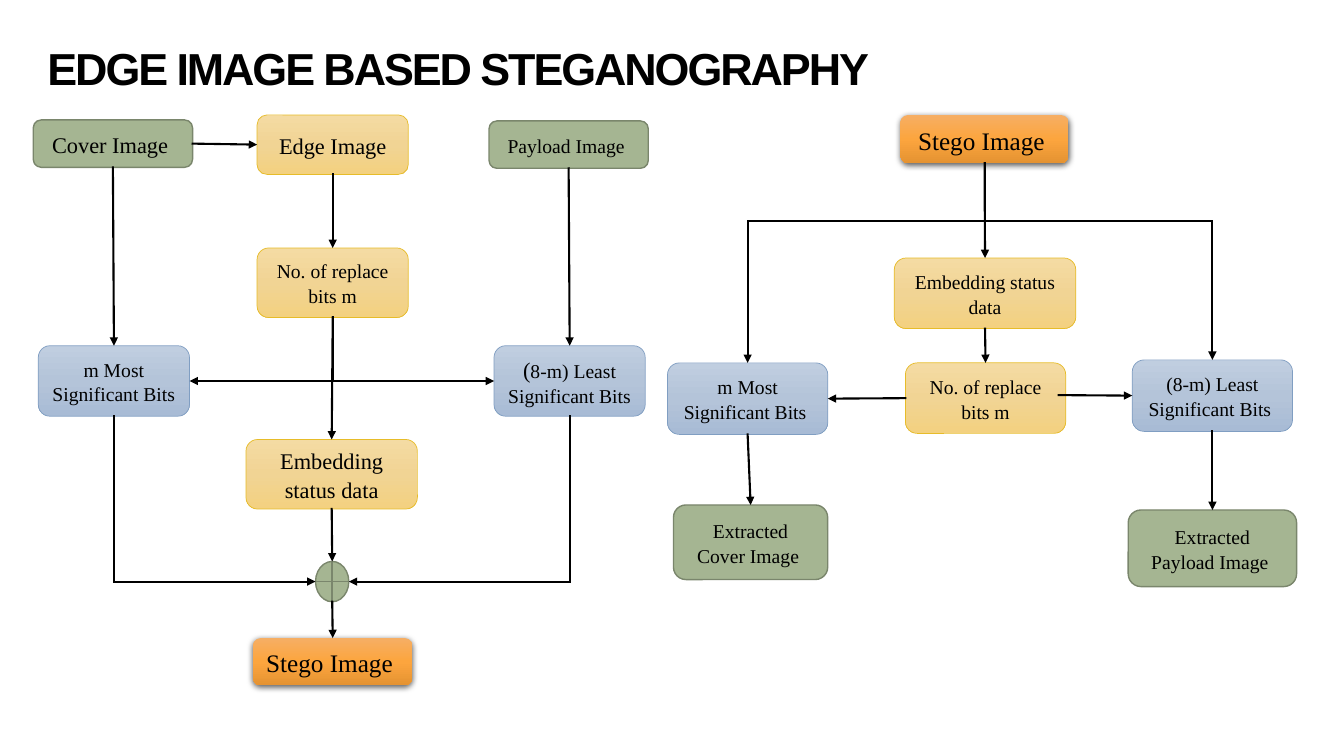
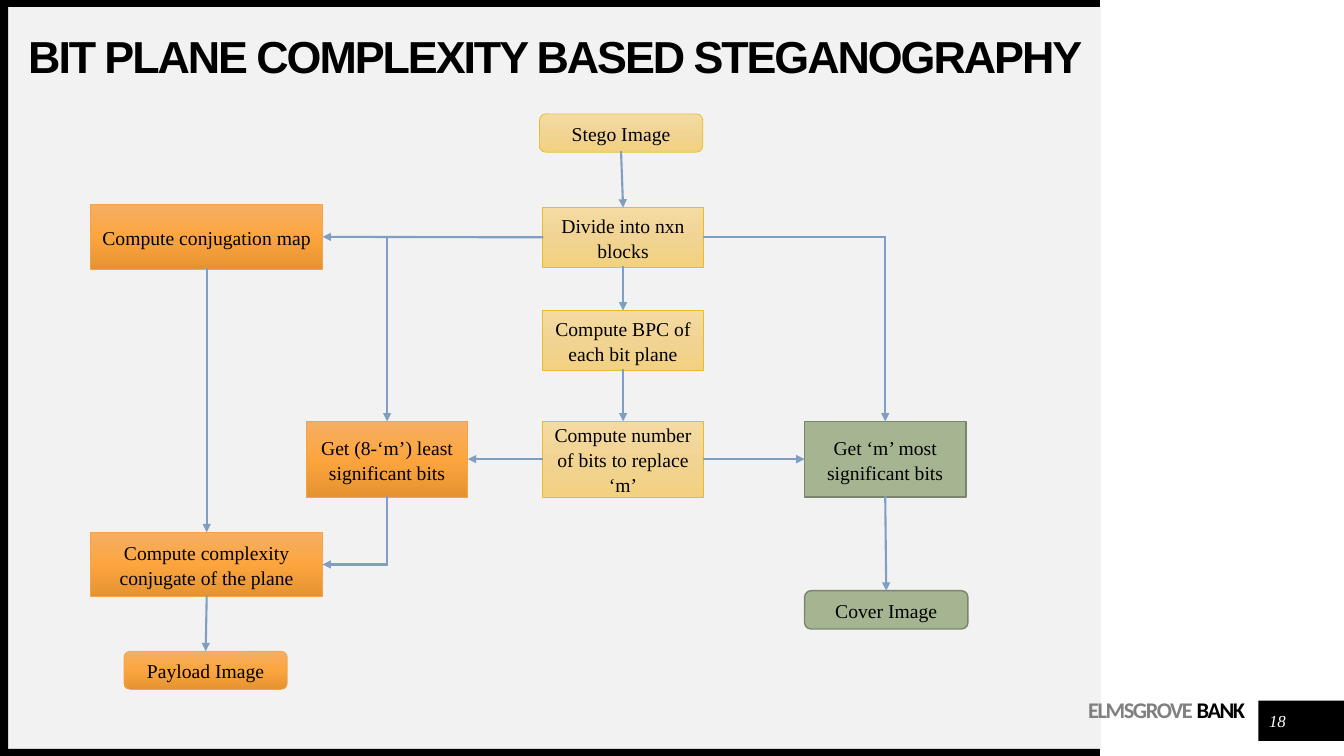
from copy import deepcopy
from dataclasses import dataclass
from typing import NamedTuple, Optional, Union

from lxml import etree
from pptx import Presentation
from pptx.dml.color import RGBColor
from pptx.enum.shapes import MSO_CONNECTOR, MSO_SHAPE
from pptx.enum.text import MSO_ANCHOR, MSO_AUTO_SIZE, PP_ALIGN
from pptx.oxml.ns import qn
from pptx.util import Inches, Pt

ROUNDED = MSO_SHAPE.FLOWCHART_ALTERNATE_PROCESS
RECT = MSO_SHAPE.RECTANGLE
MERGE = MSO_SHAPE.FLOWCHART_OR
STRAIGHT = MSO_CONNECTOR.STRAIGHT
MIDDLE = MSO_ANCHOR.MIDDLE
LEFT, CENTER, RIGHT = PP_ALIGN.LEFT, PP_ALIGN.CENTER, PP_ALIGN.RIGHT
SIDE_TOP, SIDE_LEFT, SIDE_BOTTOM, SIDE_RIGHT = range(4)


class Style(NamedTuple):
    fills: tuple  # one colour, or three gradient stops
    line: Optional[str] = None
    line_width: float = 0.5
    raised: bool = False


@dataclass(frozen=True)
class Theme:
    black: str = "000000"
    white: str = "FFFFFF"
    grey: str = "808080"
    panel: str = "F2F2F2"
    steel: str = "809EC2"
    heading_font: str = "Arial"
    body_font: str = "Times New Roman"
    brand_font: str = "Calibri"
    title_size: int = 32
    large: int = 18
    medium: int = 16
    body: int = 14
    small: int = 12
    green: Style = Style(("A5B592",), "7A866C", 1)
    blue: Style = Style(("C0CEE0", "B4C4D9", "A8BBD5"), "809EC2")
    yellow: Style = Style(("F4DBA3", "F1D494", "F3D180"), "E7BC29")
    orange: Style = Style(("F6AE64", "FCA53E", "E59332"), "F3A447")
    stego: Style = Style(("F6AE64", "FCA53E", "E59332"), raised=True)


THEME = Theme()


class Box(NamedTuple):
    key: str
    text: str
    at: tuple
    style: Style
    size: int = THEME.body
    kind: MSO_SHAPE = ROUNDED
    lead: str = ""  # opening character in the medium size


class Port(NamedTuple):
    key: str
    side: int


class Point(NamedTuple):
    x: float
    y: float


class Arrow(NamedTuple):
    start: Union[Port, Point]
    end: Port
    bent: bool = False
    level: Optional[float] = None  # height of a shared crossbar


def place(at: tuple) -> list:
    return [Inches(value) for value in at]


def set_all(target, values: dict) -> None:
    for name, value in values.items():
        setattr(target, name, value)


def add_run(paragraph, text: str, size: int, color: str, font: str = THEME.body_font,
            spacing: int = 0, **extra) -> None:
    run = paragraph.add_run()
    run.text = text
    set_all(run.font, {"name": font, "size": Pt(size), **extra})
    run.font.color.rgb = RGBColor.from_string(color)
    if spacing:
        run.font._element.set("spc", str(spacing))


def add_band(slide, at: tuple, color: str) -> None:
    band = slide.shapes.add_shape(RECT, *place(at))
    band.shadow.inherit = False
    band.fill.solid()
    band.fill.fore_color.rgb = RGBColor.from_string(color)
    band.line.fill.background()


def add_title(slide, text: str, at: tuple) -> None:
    title = slide.shapes.title
    set_all(title, dict(zip(("left", "top", "width", "height"), place(at))))
    frame = title.text_frame
    set_all(frame, {"margin_left": 0, "margin_top": 0, "margin_right": 0, "margin_bottom": 0,
                    "vertical_anchor": MIDDLE, "auto_size": MSO_AUTO_SIZE.NONE, "word_wrap": True})
    heading = frame.paragraphs[0]
    set_all(heading, {"alignment": LEFT, "line_spacing": 0.9})
    add_run(heading, text, THEME.title_size, THEME.black, THEME.heading_font, -150, bold=True)
    title.element.getparent().append(title.element)  # in front of the bands


def add_label(slide, at: tuple, margin_top: float, anchor, paragraph_format: dict):
    label = slide.shapes.add_textbox(*place(at))
    set_all(label.text_frame, {"margin_left": 0, "margin_top": Inches(margin_top), "margin_right": 0,
                               "margin_bottom": 0, "vertical_anchor": anchor, "word_wrap": True})
    paragraph = label.text_frame.paragraphs[0]
    set_all(paragraph, paragraph_format)
    return paragraph


def paint(shape, style: Style) -> None:
    shape.shadow.inherit = False
    properties = shape.element.spPr
    if len(style.fills) == 1:
        shape.fill.solid()
        shape.fill.fore_color.rgb = RGBColor.from_string(style.fills[0])
    else:
        shape.fill.gradient()
        shape.fill.gradient_angle = 270
        stops = properties.find(qn("a:gradFill")).find(qn("a:gsLst"))
        stops.insert(1, deepcopy(stops[0]))
        for stop, position, color in zip(shape.fill.gradient_stops, (0, 0.5, 1), style.fills):
            stop.position = position
            stop.color.rgb = RGBColor.from_string(color)
    if style.line:
        shape.line.color.rgb = RGBColor.from_string(style.line)
        shape.line.width = Pt(style.line_width)
    else:
        shape.line.fill.background()
    if style.raised:
        shadow = etree.SubElement(properties.find(qn("a:effectLst")), qn("a:outerShdw"),
                                  blurRad=str(Pt(4.5)), dist=str(Pt(1.5)), dir="5400000",
                                  rotWithShape="0")
        color = etree.SubElement(shadow, qn("a:srgbClr"), val=THEME.black)
        etree.SubElement(color, qn("a:alpha"), val="63000")


def add_box(slide, box: Box):
    shape = slide.shapes.add_shape(box.kind, *place(box.at))
    paint(shape, box.style)
    if box.text:
        set_all(shape.text_frame, {"vertical_anchor": MIDDLE, "word_wrap": True})
        paragraph = shape.text_frame.paragraphs[0]
        set_all(paragraph, {"alignment": CENTER, "line_spacing": 1.06, "space_after": Pt(8)})
        if box.lead:
            add_run(paragraph, box.lead, THEME.medium, THEME.black)
        add_run(paragraph, box.text, box.size, THEME.black)
    return shape


def locate(spot: Union[Port, Point], shapes: dict) -> tuple:
    if isinstance(spot, Point):
        return Inches(spot.x), Inches(spot.y)
    shape = shapes[spot.key]
    x, y = shape.left + shape.width // 2, shape.top + shape.height // 2
    return {SIDE_TOP: (x, shape.top), SIDE_LEFT: (shape.left, y),
            SIDE_BOTTOM: (x, shape.top + shape.height),
            SIDE_RIGHT: (shape.left + shape.width, y)}[spot.side]


def can_join(spot: Union[Port, Point], shapes: dict) -> bool:
    return isinstance(spot, Port) and shapes[spot.key].auto_shape_type != MERGE


def add_arrow(slide, arrow: Arrow, shapes: dict, color: str) -> None:
    start, end = locate(arrow.start, shapes), locate(arrow.end, shapes)
    corners = []
    if arrow.level is not None:
        corners = [(x, Inches(arrow.level)) for x in (start[0], end[0])]
    elif arrow.bent:
        vertical_first = arrow.start.side in (SIDE_TOP, SIDE_BOTTOM)
        corners = [(start[0], end[1]) if vertical_first else (end[0], start[1])]
    points = [start, *corners, end]
    last = len(points) - 2
    for index, (near, far) in enumerate(zip(points, points[1:])):
        segment = slide.shapes.add_connector(STRAIGHT, *near, *far)
        if index == 0 and can_join(arrow.start, shapes):
            segment.begin_connect(shapes[arrow.start.key], arrow.start.side)
        if index == last and can_join(arrow.end, shapes):
            segment.end_connect(shapes[arrow.end.key], arrow.end.side)
        segment.line.color.rgb = RGBColor.from_string(color)
        segment.line.width = Pt(1.5)
        properties = segment.element.spPr
        stroke = properties.find(qn("a:ln"))
        stroke.set("cap", "sq")
        if index == last:
            etree.SubElement(stroke, qn("a:tailEnd"), type="triangle")
        etree.SubElement(properties, qn("a:effectLst"))


def add_flow(slide, boxes: list, arrows: list, color: str) -> None:
    shapes = {box.key: add_box(slide, box) for box in boxes}
    for arrow in arrows:
        add_arrow(slide, arrow, shapes, color)


def down(start: str, end: str) -> Arrow:
    return Arrow(Port(start, SIDE_BOTTOM), Port(end, SIDE_TOP))


def build_edge_slide(slide) -> None:
    t = THEME
    add_title(slide, "EDGE IMAGE BASED STEGANOGRAPHY", (0.47, 0.47, 10.06, 0.47))
    boxes = [
        # Embedding
        Box("cover", "Cover Image ", (0.33, 1.19, 1.58, 0.47), t.green, t.medium),
        Box("payload", "Payload Image ", (4.85, 1.2, 1.58, 0.47), t.green),
        Box("edge", "Edge Image", (2.55, 1.14, 1.5, 0.59), t.yellow, t.medium),
        Box("bits", "No. of replace bits m", (2.55, 2.46, 1.5, 0.69), t.yellow),
        Box("most", "m Most Significant Bits ", (0.38, 3.43, 1.5, 0.7), t.blue),
        Box("least", "8-m) Least Significant Bits ", (4.9, 3.43, 1.5, 0.7), t.blue, lead="("),
        Box("status", "Embedding status data", (2.44, 4.36, 1.7, 0.69), t.yellow, t.medium),
        Box("merge", "", (3.13, 5.57, 0.33, 0.4), t.green, kind=MERGE),
        Box("stego", "Stego Image ", (2.51, 6.33, 1.58, 0.47), t.stego, t.large),
        # Extraction
        Box("received", "Stego Image ", (8.93, 1.14, 1.67, 0.48), t.stego, t.large),
        Box("found status", "Embedding status data", (8.87, 2.56, 1.8, 0.7), t.yellow),
        Box("found bits", "No. of replace bits m", (8.98, 3.6, 1.59, 0.7), t.yellow),
        Box("found most", "m Most Significant Bits ", (6.62, 3.6, 1.59, 0.71), t.blue),
        Box("found least", "(8-m) Least Significant Bits ", (11.23, 3.57, 1.59, 0.71), t.blue),
        Box("found cover", "Extracted Cover Image ", (6.68, 5.01, 1.53, 0.74), t.green),
        Box("found payload", "Extracted Payload Image ", (11.19, 5.06, 1.67, 0.76), t.green),
    ]
    crossbar = 2.19
    arrows = [
        *(down(*pair) for pair in (
            ("cover", "most"), ("payload", "least"), ("edge", "bits"), ("bits", "status"),
            ("status", "merge"), ("merge", "stego"), ("received", "found status"),
            ("found status", "found bits"), ("found most", "found cover"),
            ("found least", "found payload"))),
        Arrow(Port("cover", SIDE_RIGHT), Port("edge", SIDE_LEFT)),
        Arrow(Port("bits", SIDE_BOTTOM), Port("most", SIDE_RIGHT), bent=True),
        Arrow(Port("bits", SIDE_BOTTOM), Port("least", SIDE_LEFT), bent=True),
        Arrow(Port("most", SIDE_BOTTOM), Port("merge", SIDE_LEFT), bent=True),
        Arrow(Port("least", SIDE_BOTTOM), Port("merge", SIDE_RIGHT), bent=True),
        Arrow(Port("received", SIDE_BOTTOM), Port("found most", SIDE_TOP), level=crossbar),
        Arrow(Port("received", SIDE_BOTTOM), Port("found least", SIDE_TOP), level=crossbar),
        Arrow(Port("found bits", SIDE_LEFT), Port("found most", SIDE_RIGHT)),
        Arrow(Point(10.5, 3.92), Port("found least", SIDE_LEFT)),
    ]
    add_flow(slide, boxes, arrows, t.black)


def build_complexity_slide(slide) -> None:
    t = THEME
    # Panel, frame and footer
    for at, color in (((0.08, 0.07, 10.84, 7.36), t.panel), ((12.48, 6.95, 0.86, 0.4), t.black),
                      ((0, 7.43, 10.91, 0.07), t.black), ((0, 0, 10.91, 0.07), t.black),
                      ((0, 0.03, 0.08, 7.47), t.black)):
        add_band(slide, at, color)
    brand = add_label(slide, (10.53, 6.94, 1.82, 0.44), 0.04, MSO_ANCHOR.TOP,
                      {"alignment": RIGHT, "line_spacing": Pt(14)})
    for word, color in (("ELMSGROVE ", t.grey), ("BANK", t.black)):
        add_run(brand, word, t.medium, color, t.brand_font, -100, bold=True)
    number = add_label(slide, (12.52, 7, 0.3, 0.3), 0, MIDDLE, {"alignment": CENTER})
    add_run(number, "18", t.small, t.white, italic=True)
    add_title(slide, "BIT PLANE COMPLEXITY BASED STEGANOGRAPHY", (0.28, 0.03, 10.92, 1.12))

    # Extraction flow
    steps = [
        ("divide", "Divide into nxn blocks", (5.38, 2.06, 1.6, 0.59), t.yellow),
        ("compute", "Compute BPC of each bit plane", (5.38, 3.08, 1.6, 0.59), t.yellow),
        ("bits", "Compute number of bits to replace ‘m’", (5.38, 4.18, 1.6, 0.75), t.yellow),
        ("most", "Get ‘m’ most significant bits", (7.98, 4.18, 1.6, 0.75), t.green),
        ("least", "Get (8-‘m’) least significant bits", (3.04, 4.18, 1.6, 0.75), t.orange),
        ("map", "Compute conjugation map", (0.9, 2.03, 2.3, 0.64), t.orange),
        ("conjugate", "Compute complexity conjugate of the plane", (0.9, 5.28, 2.3, 0.64), t.orange),
    ]
    boxes = [
        Box("stego", "Stego Image", (5.35, 1.13, 1.62, 0.38), t.yellow),
        Box("cover", "Cover Image", (7.98, 5.86, 1.62, 0.38), t.green),
        Box("payload", "Payload Image", (1.23, 6.46, 1.62, 0.38), t.orange),
        *(Box(*step, kind=RECT) for step in steps),
    ]
    arrows = [
        *(down(*pair) for pair in (
            ("stego", "divide"), ("divide", "compute"), ("compute", "bits"),
            ("map", "conjugate"), ("conjugate", "payload"), ("most", "cover"))),
        Arrow(Port("bits", SIDE_LEFT), Port("least", SIDE_RIGHT)),
        Arrow(Port("bits", SIDE_RIGHT), Port("most", SIDE_LEFT)),
        Arrow(Port("divide", SIDE_LEFT), Port("map", SIDE_RIGHT)),
        Arrow(Port("divide", SIDE_LEFT), Port("least", SIDE_TOP), bent=True),
        Arrow(Port("divide", SIDE_RIGHT), Port("most", SIDE_TOP), bent=True),
        Arrow(Port("least", SIDE_BOTTOM), Port("conjugate", SIDE_RIGHT), bent=True),
    ]
    add_flow(slide, boxes, arrows, t.steel)


def main() -> None:
    deck = Presentation()
    set_all(deck, {"slide_width": Inches(13.33), "slide_height": Inches(7.5)})
    title_only = deck.slide_layouts[5]
    for build in (build_edge_slide, build_complexity_slide):
        build(deck.slides.add_slide(title_only))
    deck.save("out.pptx")


if __name__ == "__main__":
    main()
